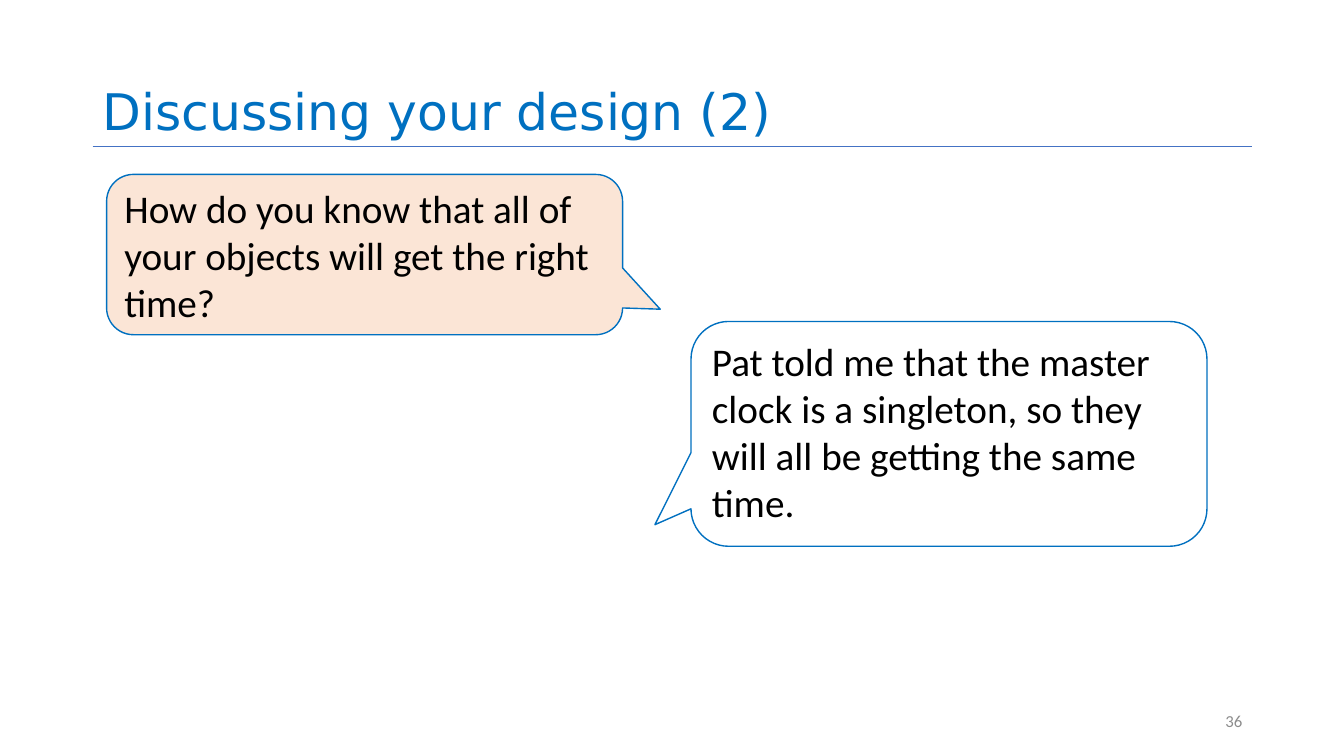
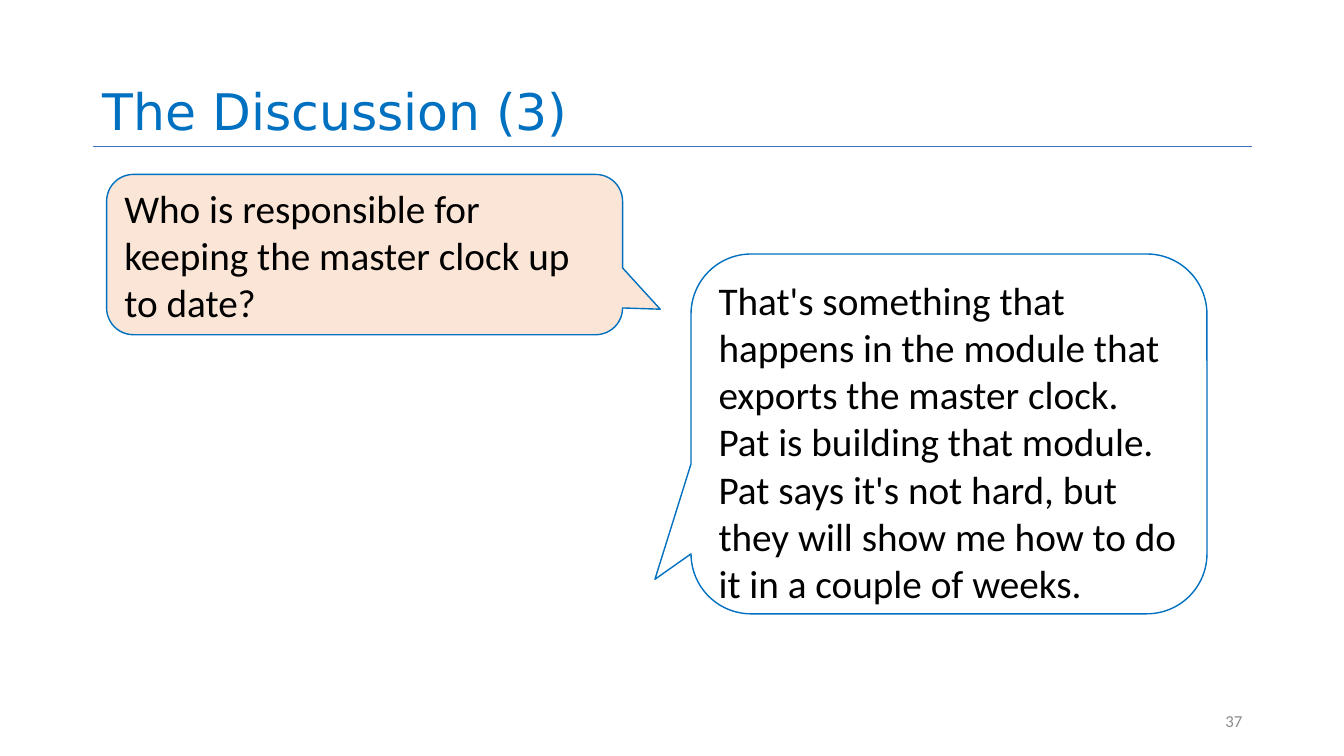
from lxml import etree
from pptx import Presentation
from pptx.dml.color import RGBColor
from pptx.enum.shapes import MSO_CONNECTOR, MSO_SHAPE
from pptx.enum.text import MSO_ANCHOR, MSO_AUTO_SIZE, PP_ALIGN
from pptx.oxml.ns import qn
from pptx.util import Inches, Pt

SLIDE_WIDTH, SLIDE_HEIGHT = 13.33, 7.5
MARGIN = 0.92
COLUMN = 11.5 / 100
ROW = SLIDE_HEIGHT / 100
TITLE_ROWS = 19.33
CALLOUT_COLUMNS = 44.5

TITLE_BLUE = RGBColor(0x00, 0x70, 0xC0)
RULE_BLUE = RGBColor(0x44, 0x72, 0xC4)
PEACH = RGBColor(0xFB, 0xE5, 0xD6)
WHITE = RGBColor(0xFF, 0xFF, 0xFF)
BLACK = RGBColor(0x00, 0x00, 0x00)
GREY = RGBColor(0x8C, 0x8C, 0x8C)

TITLE_FONT, BODY_FONT = "DejaVu Sans", "Calibri"
TITLE_ONLY = 5
CALLOUT = MSO_SHAPE.ROUNDED_RECTANGULAR_CALLOUT
STRAIGHT = MSO_CONNECTOR.STRAIGHT
TOP, MIDDLE, BOTTOM = MSO_ANCHOR.TOP, MSO_ANCHOR.MIDDLE, MSO_ANCHOR.BOTTOM
LEFT, RIGHT = PP_ALIGN.LEFT, PP_ALIGN.RIGHT
NO_AUTOFIT = MSO_AUTO_SIZE.NONE

QUESTION_TAIL = (0.573, 0.341, 0.167)
ANSWER_TAIL = (-0.57, 0.404, 0.167)

DISCUSSIONS = [
    {
        "title": "Discussing your design (2)",
        "number": 36,
        "question": "How do you know that all of your objects will get the right\ntime?",
        "answer": "Pat told me that the master clock is a singleton, "
                  "so they will all be getting the same time.",
        "answer_rows": (42.53, 29.73),
    },
    {
        "title": "The Discussion (3)",
        "number": 37,
        "question": "Who is responsible for keeping the master clock up to date?",
        "answer": "That's something that happens in the module that exports the "
                  "master clock.  Pat is building that module.  Pat says it's not "
                  "hard, but they will show me how to do it in a couple of weeks.",
        "answer_rows": (33.6, 47.6),
    },
]


def grid_box(column, row, columns, rows):
    return (Inches(MARGIN + column * COLUMN), Inches(row * ROW),
            Inches(columns * COLUMN), Inches(rows * ROW))


def write_text(shape, text, size, color, font=BODY_FONT, anchor=MIDDLE,
               alignment=LEFT, line_spacing=1.0):
    frame = shape.text_frame
    frame.text = text
    frame.word_wrap = True
    frame.auto_size = NO_AUTOFIT
    frame.vertical_anchor = anchor
    for paragraph in frame.paragraphs:
        paragraph.alignment = alignment
        paragraph.line_spacing = line_spacing
        paragraph.font.name = font
        paragraph.font.size = Pt(size)
        paragraph.font.color.rgb = color


def add_title(slide, text):
    title = slide.shapes.title
    title.left, title.top, title.width, title.height = grid_box(0, 0, 100, TITLE_ROWS)
    write_text(title, text, 36, TITLE_BLUE, font=TITLE_FONT, anchor=BOTTOM,
               line_spacing=0.9)


def add_title_rule(slide):
    left, top, width, _ = grid_box(0, TITLE_ROWS, 100, 0)
    rule = slide.shapes.add_connector(STRAIGHT, left, top, left + width, top)
    rule.line.color.rgb = RULE_BLUE
    rule.line.width = Pt(0.5)
    etree.SubElement(rule.element.spPr, qn("a:effectLst"))


def add_slide_number(slide, number):
    box = slide.shapes.add_textbox(*grid_box(73.9, 92.67, 26.1, 5.33))
    write_text(box, str(number), 12, GREY, alignment=RIGHT)


def add_callout(slide, text, column, row, rows, fill, tail, anchor):
    callout = slide.shapes.add_shape(CALLOUT, *grid_box(column, row, CALLOUT_COLUMNS, rows))
    callout.shadow.inherit = False
    for index, value in enumerate(tail):
        callout.adjustments[index] = value
    callout.fill.solid()
    callout.fill.fore_color.rgb = fill
    callout.line.color.rgb = TITLE_BLUE
    callout.line.width = Pt(1)
    write_text(callout, text, 28, BLACK, anchor=anchor)


def add_discussion(presentation, discussion):
    slide = presentation.slides.add_slide(presentation.slide_layouts[TITLE_ONLY])
    add_title_rule(slide)
    add_title(slide, discussion["title"])
    add_slide_number(slide, discussion["number"])
    add_callout(slide, discussion["answer"], 51.6, *discussion["answer_rows"],
                fill=WHITE, tail=ANSWER_TAIL, anchor=TOP)
    add_callout(slide, discussion["question"], 1.2, 23.07, 21.2,
                fill=PEACH, tail=QUESTION_TAIL, anchor=MIDDLE)


def main():
    presentation = Presentation()
    presentation.slide_width = Inches(SLIDE_WIDTH)
    presentation.slide_height = Inches(SLIDE_HEIGHT)
    for discussion in DISCUSSIONS:
        add_discussion(presentation, discussion)
    presentation.save("out.pptx")


if __name__ == "__main__":
    main()
